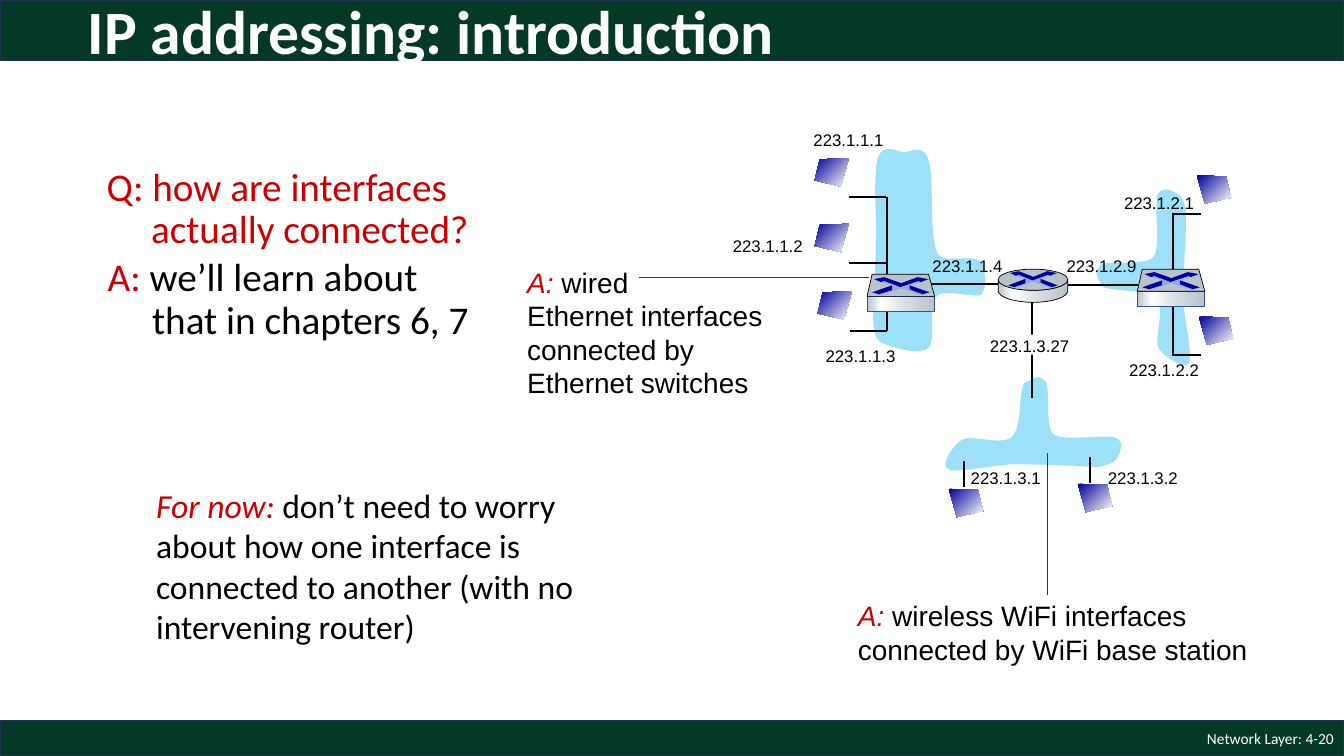
from dataclasses import dataclass

from lxml import etree
from pptx import Presentation
from pptx import util as u
from pptx.dml.color import RGBColor
from pptx.enum import shapes, text
from pptx.oxml.ns import qn


@dataclass(frozen=True)
class Theme:
    body = "Calibri"
    diagram = "Arial"
    title_size, question_size, note_size, callout_size = 44, 28, 24, 20
    label_size, footer_size = 12, 11
    bar, bar_edge = "043927", "1E3256"
    ink, paper, accent, pointer = "000000", "FFFFFF", "CC0000", "C00000"
    cloud, metal, metal_edge = "9CE0FA", "B8C2C9", "325491"
    arrow, cross = "0000A3", "8FAADC"
    screen = ((0, "000099"), (100, "FFFFFF"))
    steel = ((0, "B8C2C9"), (21, "FFFFFF"), (60, "D6DCE0"), (100, "B8C2C9"))


@dataclass(frozen=True)
class Box:
    left: float
    top: float
    width: float
    height: float

    def inner(self, x, y, width=0, height=0):
        return Box(self.left + x, self.top + y, width, height)

    def emu(self):
        return [u.Inches(v) for v in (self.left, self.top, self.width, self.height)]


THEME = Theme()
WIDTH, HEIGHT = 13.33, 7.5

# Cloud outlines: a start point, then two controls and an end per curve, in 1/100 inch
CLOUDS = (
    [(316, 280), (310, 289), (314, 323), (304, 333), (294, 343), (266, 331), (255, 336),
     (245, 341), (233, 361), (240, 365), (247, 370), (283, 362), (298, 361),
     (313, 360), (321, 361), (332, 361), (343, 361), (353, 362), (363, 362),
     (372, 362), (384, 364), (391, 363), (399, 361), (406, 359), (408, 354),
     (411, 349), (416, 338), (406, 334), (395, 331), (354, 338), (345, 331),
     (336, 323), (342, 285), (337, 278), (329, 273), (332, 272), (316, 280)],
    [(393, 184), (402, 190), (436, 186), (446, 196), (457, 206), (444, 234), (449, 245),
     (455, 255), (475, 267), (479, 260), (483, 253), (475, 217), (474, 202),
     (473, 187), (474, 179), (474, 168), (475, 157), (475, 147), (476, 137),
     (476, 127), (477, 116), (476, 109), (475, 101), (472, 94), (467, 92),
     (463, 89), (452, 84), (448, 94), (444, 105), (452, 146), (444, 155),
     (437, 164), (398, 158), (391, 163), (387, 171), (385, 168), (393, 184)],
    [(276, 166), (274, 147), (239, 164), (230, 152), (221, 134), (227, 76), (221, 59),
     (216, 42), (204, 51), (196, 51), (188, 50), (176, 42), (171, 56),
     (166, 69), (169, 113), (169, 131), (168, 149), (169, 154), (168, 165),
     (168, 176), (167, 186), (167, 196), (167, 206), (165, 217), (167, 224),
     (168, 232), (168, 238), (177, 241), (186, 245), (212, 253), (221, 245),
     (229, 238), (220, 203), (229, 194), (238, 185), (266, 197), (274, 192),
     (277, 184), (278, 185), (276, 166)],
)
ROUTER_SIDE = [(69, 0), (69, 4), (69, 8), (69, 11), (67, 19), (47, 22), (35, 22),
               (23, 22), (2, 19), (0, 11), (0, 9), (0, 3), (0, 0),
               (3, 7), (23, 10), (35, 10), (46, 10), (66, 8), (69, 0)]
# Crossed arrows on a 57 by 17 grid
ARROWS = (
    (THEME.arrow, [(45, 0), (56, 2), (48, 5), (46, 4), (28, 10), (12, 4), (9, 5), (2, 2),
                   (12, 0), (29, 6)]),
    (THEME.arrow, [(37, 8), (57, 15), (50, 17), (37, 12)]),
    (THEME.arrow, [(20, 8), (20, 13), (7, 17), (0, 15)]),
    (THEME.cross, [(9, 5), (12, 4), (28, 10), (46, 4), (48, 5), (37, 8), (37, 13), (50, 17),
                   (47, 17), (29, 11), (10, 17), (7, 17), (20, 13), (20, 8)]),
)
SCREEN = [(0, 0), (29, 1), (34, 22), (8, 28)]


def rgb(color):
    return RGBColor.from_string(color)


def paint(shape, fill, line=None, weight=0.5, angle=0):
    """Fill with one colour, or with (percent, colour) gradient stops."""
    shape.shadow.inherit = False
    if isinstance(fill, str):
        shape.fill.solid()
        shape.fill.fore_color.rgb = rgb(fill)
    else:
        shape.fill.gradient()
        shape.fill.gradient_angle = -angle % 360
        stops = shape.element.spPr.find(qn("a:gradFill")).find(qn("a:gsLst"))
        for stop in list(stops):
            stops.remove(stop)
        for percent, color in fill:
            stop = etree.SubElement(stops, qn("a:gs"), pos=str(percent * 1000))
            etree.SubElement(stop, qn("a:srgbClr"), val=color)
    if line:
        shape.line.color.rgb = rgb(line)
        shape.line.width = u.Pt(weight)
    else:
        shape.line.fill.background()


def add_preset(slide, kind, box, fill, **style):
    paint(slide.shapes.add_shape(kind, *box.emu()), fill, **style)


def add_outline(slide, box, points, fill, scale=(0.01, 0.01), **style):
    corners = [(u.Inches(box.left + x * scale[0]), u.Inches(box.top + y * scale[1]))
               for x, y in points]
    builder = slide.shapes.build_freeform(*corners[0], scale=1.0)
    builder.add_line_segments(corners[1:], close=True)
    paint(builder.convert_to_shape(), fill, **style)


def curve(points, steps=12):
    """Sample a chain of cubic curves."""
    sampled = [points[0]]
    for i in range(0, len(points) - 1, 3):
        knots = points[i:i + 4]
        for t in (step / steps for step in range(1, steps + 1)):
            weights = ((1 - t) ** 3, 3 * t * (1 - t) ** 2, 3 * t * t * (1 - t), t ** 3)
            sampled.append(tuple(sum(w * knot[axis] for w, knot in zip(weights, knots))
                                 for axis in (0, 1)))
    return sampled


def add_wire(slide, box, start, end, color=THEME.ink, weight=1.5):
    ends = [u.Inches(v) for x, y in (start, end) for v in (box.left + x, box.top + y)]
    wire = slide.shapes.add_connector(shapes.MSO_CONNECTOR.STRAIGHT, *ends)
    wire.line.color.rgb = rgb(color)
    wire.line.width = u.Pt(weight)
    etree.SubElement(wire.element.spPr, qn("a:effectLst"))


def write(frame, paragraphs, size, font=THEME.body, wrap=True, bold=False, hang=0, spacing=None,
          align=text.PP_ALIGN.LEFT, anchor=text.MSO_ANCHOR.TOP):
    """Each paragraph is a list of (words, colour, italic) runs."""
    frame.word_wrap = wrap
    frame.auto_size = text.MSO_AUTO_SIZE.NONE
    frame.vertical_anchor = anchor
    for i, runs in enumerate(paragraphs):
        paragraph = frame.add_paragraph() if i else frame.paragraphs[0]
        paragraph.alignment = align
        if spacing:
            paragraph.line_spacing = spacing
        if hang:
            properties = paragraph._p.get_or_add_pPr()
            properties.set("marL", str(u.Inches(hang)))
            properties.set("indent", str(-u.Inches(hang)))
        for words, color, italic in runs:
            run = paragraph.add_run()
            run.text = words
            run.font.size, run.font.name = u.Pt(size), font
            run.font.bold, run.font.italic = bold, italic
            run.font.color.rgb = rgb(color)


def add_text(slide, box, paragraphs, size, **style):
    write(slide.shapes.add_textbox(*box.emu()).text_frame, paragraphs, size, **style)


def add_frame(slide, box, title, footer):
    foot = 0.35
    for bar in (box.inner(0, box.height - foot, box.width, foot), box.inner(0, 0, box.width, 0.6)):
        add_preset(slide, shapes.MSO_SHAPE.RECTANGLE, bar, THEME.bar,
                   line=THEME.bar_edge, weight=1)
    add_text(slide, box.inner(box.width - 3, box.height - foot, 3, foot),
             [[(footer, THEME.paper, False)]], THEME.footer_size,
             align=text.PP_ALIGN.RIGHT, anchor=text.MSO_ANCHOR.MIDDLE)
    heading = slide.shapes.title
    heading.left, heading.top, heading.width, heading.height = box.inner(0.77, -0.15, 11.5, 0.98).emu()
    write(heading.text_frame, [[(title, THEME.paper, False)]], THEME.title_size, bold=True,
          spacing=0.9, anchor=text.MSO_ANCHOR.MIDDLE)
    slide.shapes.element.append(heading.element)


def add_questions(slide, box):
    add_text(slide, box.inner(0, 0, box.width, 1.84),
             [[("Q: how are interfaces actually connected?", THEME.accent, False)]],
             THEME.question_size, hang=0.44, spacing=0.9)
    add_text(slide, box.inner(0.01, 0.9, box.width, 1.17),
             [[("A: ", THEME.accent, False),
               ("we’ll learn about that in chapters 6, 7", THEME.ink, False)]],
             THEME.question_size, hang=0.44, spacing=0.9)
    add_text(slide, box.inner(0.49, 3.15, 4.73, 1.72),
             [[("For now: ", THEME.accent, True),
               ("don’t need to worry about how one interface is connected to another "
                "(with no intervening router)", THEME.ink, False)]], THEME.note_size)


def add_arrows(slide, box):
    for color, points in ARROWS:
        add_outline(slide, box, points, color, scale=(box.width / 57, box.height / 17))


def add_switch(slide, box):
    add_preset(slide, shapes.MSO_SHAPE.RECTANGLE, box.inner(0, 0.22, 0.67, 0.15), THEME.steel,
               line=THEME.metal_edge)
    add_outline(slide, box, [(0, 22), (5, 0), (61, 0), (67, 22)], THEME.metal, line=THEME.ink)
    add_arrows(slide, box.inner(0.05, 0.03, 0.57, 0.17))


def add_router(slide, box):
    add_outline(slide, box.inner(0, 0.11), curve(ROUTER_SIDE), THEME.steel, line=THEME.ink)
    add_preset(slide, shapes.MSO_SHAPE.OVAL, box.inner(0, 0, 0.69, 0.21), THEME.metal,
               line=THEME.ink)
    add_arrows(slide, box.inner(0.1, 0.02, 0.49, 0.16))


def add_network(slide, box):
    for cloud in CLOUDS:
        add_outline(slide, box, curve(cloud), THEME.cloud)
    add_wire(slide, box, (3.24, 1.99), (3.24, 2.95))
    for patch in (box.inner(0.27, 1.37, 0.91, 0.2), box.inner(2.78, 2.32, 0.93, 0.2)):
        add_preset(slide, shapes.MSO_SHAPE.RECTANGLE, patch, THEME.paper)
    for address, x, y in (("1.1", 0.97, 0.24), ("1.2", 0.17, 1.29), ("1.3", 1.09, 2.38),
                          ("1.4", 2.15, 1.49), ("2.9", 3.48, 1.49), ("2.2", 4.1, 2.52),
                          ("2.1", 4.05, 0.86), ("3.2", 3.89, 3.59), ("3.1", 2.53, 3.59),
                          ("3.27", 2.72, 2.28)):
        add_text(slide, box.inner(x, y, 0.9, 0.3), [[("223.1." + address, THEME.ink, False)]],
                 THEME.label_size, font=THEME.diagram, wrap=False)
    for x, y in ((1.08, 0.57), (1.08, 1.22), (1.11, 1.89)):
        add_outline(slide, box.inner(x, y), [(34 - a, b) for a, b in SCREEN], THEME.screen, angle=45)
    for x, y in ((4.87, 0.74), (4.89, 2.14), (3.69, 3.8), (2.41, 3.85)):
        add_outline(slide, box.inner(x, y), SCREEN, THEME.screen, angle=45)
    for start, end in (((1.42, 0.95), (1.79, 0.95)), ((1.42, 1.61), (1.79, 1.61)),
                       ((1.43, 2.28), (1.8, 2.28)), ((4.62, 1.12), (4.91, 1.12)),
                       ((4.63, 2.52), (4.91, 2.52)), ((2.56, 3.57), (2.56, 3.83)),
                       ((3.81, 3.53), (3.81, 3.79)), ((2.15, 1.82), (3.02, 1.82)),
                       ((3.44, 1.83), (4.51, 1.83)), ((1.8, 0.95), (1.8, 2.28)),
                       ((4.63, 1.11), (4.63, 2.53))):
        add_wire(slide, box, start, end)
    add_router(slide, box.inner(2.9, 1.67))
    for x, y in ((1.6, 1.72), (4.28, 1.67)):
        add_switch(slide, box.inner(x, y))


def add_callouts(slide, box):
    answer = ("A: ", THEME.accent, True)
    add_text(slide, box.inner(0, 0, 2.79, 1.45),
             [[answer, ("wired", THEME.ink, False)],
              [("Ethernet interfaces connected by Ethernet switches", THEME.ink, False)]],
             THEME.callout_size, font=THEME.diagram)
    add_wire(slide, box, (3.49, 0.17), (1.21, 0.17), THEME.pointer, 0.75)
    add_text(slide, box.inner(3.28, 3.31, 4.56, 0.77),
             [[answer, ("wireless WiFi interfaces connected by WiFi base station",
                        THEME.ink, False)]], THEME.callout_size, font=THEME.diagram)
    add_wire(slide, box, (5.26, 3.32), (5.26, 1.91), THEME.pointer, 1)


def main():
    presentation = Presentation()
    presentation.slide_width, presentation.slide_height = u.Inches(WIDTH), u.Inches(HEIGHT)
    slide = presentation.slides.add_slide(presentation.slide_layouts.get_by_name("Title Only"))
    add_network(slide, Box(7, 1, 5.33, 4.2))
    add_questions(slide, Box(0.96, 1.61, 3.82, 4.87))
    add_callouts(slide, Box(5.13, 2.58, 7.84, 4.08))
    add_frame(slide, Box(0, 0, WIDTH, HEIGHT), "IP addressing: introduction", "Network Layer: 4-20")
    presentation.save("out.pptx")


if __name__ == "__main__":
    main()
